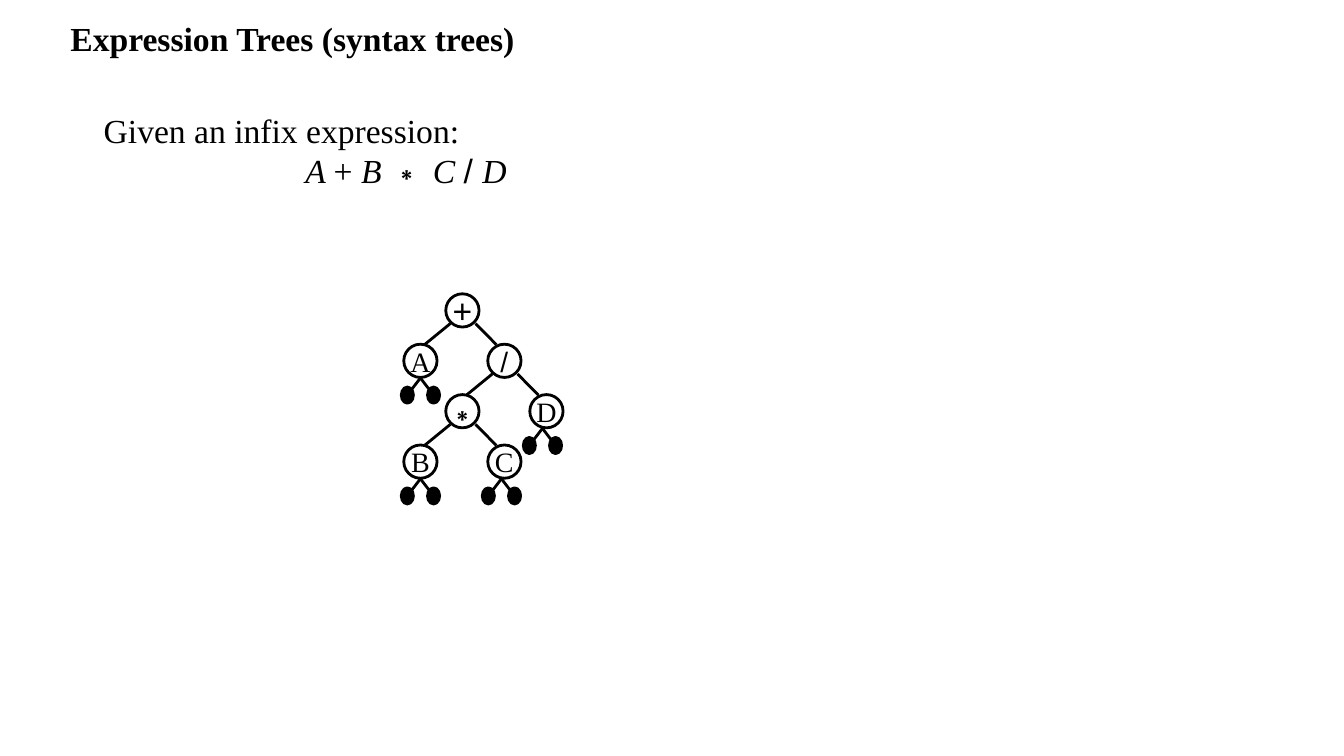
import pptx
import pptx.util
import pptx.dml.color
import pptx.enum.shapes
import pptx.enum.text
import pptx.oxml.ns
import lxml.etree

Inches = pptx.util.Inches
Pt = pptx.util.Pt
SERIF, SANS = "Times New Roman", "Arial"
BLACK = "000000"

TITLE = "Expression Trees (syntax trees)"
INTRO = "Given an infix expression:"
FORMULA = [
    ("A ", SERIF, True), ("+ ", SERIF, False), ("B ", SERIF, True),
    ("∗ ", SANS, False), ("C ", SERIF, True), ("/ ", SANS, False),
    ("D", SERIF, True),
]
# name: (label, column, row, font, size)
NODES = {
    "plus": ("+", 1, 0, SANS, 24),
    "a": ("A", 0, 1, SERIF, 20),
    "divide": ("/", 2, 1, SANS, 20),
    "times": ("∗", 1, 2, SANS, 24),
    "d": ("D", 3, 2, SERIF, 20),
    "b": ("B", 0, 3, SERIF, 20),
    "c": ("C", 2, 3, SERIF, 20),
}
EDGES = [("plus", "a"), ("plus", "divide"), ("divide", "times"),
         ("divide", "d"), ("times", "b"), ("times", "c")]
LEAF_SHIFTS = {"a": 0, "d": -0.04, "b": 0, "c": -0.03}

ROOT_X, ROOT_Y = 4.17, 3.08
COL_STEP, ROW_STEP = 5 / 12, 0.5
NODE_SIZE = 0.33
DOT_W, DOT_H = 0.12, 0.16
LEAF_DX, LEAF_DY = 0.13, 0.17


def color(value):
    return pptx.dml.color.RGBColor.from_string(value)


def add_run(p, text, font=SERIF, size=24, bold=False, italic=False):
    r = p.add_run()
    r.text = text
    r.font.name = font
    r.font.size = Pt(size)
    r.font.bold = bold
    r.font.italic = italic
    r.font.color.rgb = color(BLACK)


def indent(p, inches):
    pPr = p._p.get_or_add_pPr()
    pPr.set("marL", str(Inches(inches)))
    pPr.set("indent", "0")


def add_box(s, x, y, w, h):
    tf = s.shapes.add_textbox(Inches(x), Inches(y), Inches(w), Inches(h)).text_frame
    tf.word_wrap = True
    return tf


def add_ellipse(s, cx, cy, w, h, fill=None):
    sp = s.shapes.add_shape(pptx.enum.shapes.MSO_SHAPE.OVAL, Inches(cx - w / 2),
                            Inches(cy - h / 2), Inches(w), Inches(h))
    sp.shadow.inherit = False
    if fill:
        sp.fill.solid()
        sp.fill.fore_color.rgb = color(fill)
    else:
        sp.fill.background()
    sp.line.color.rgb = color(BLACK)
    sp.line.width = Pt(2)
    return sp


def add_line(s, x1, y1, x2, y2):
    line = s.shapes.add_connector(pptx.enum.shapes.MSO_CONNECTOR.STRAIGHT,
                                  Inches(x1), Inches(y1), Inches(x2), Inches(y2))
    line.line.color.rgb = color(BLACK)
    line.line.width = Pt(2)
    lxml.etree.SubElement(line._element.spPr, pptx.oxml.ns.qn("a:effectLst"))


def center(name):
    label, col, row, font, size = NODES[name]
    return ROOT_X + col * COL_STEP, ROOT_Y + row * ROW_STEP


def add_node(s, name):
    label, col, row, font, size = NODES[name]
    tf = add_ellipse(s, *center(name), NODE_SIZE, NODE_SIZE).text_frame
    tf.word_wrap = False
    tf.vertical_anchor = pptx.enum.text.MSO_ANCHOR.MIDDLE
    p = tf.paragraphs[0]
    p.alignment = pptx.enum.text.PP_ALIGN.CENTER
    add_run(p, label, font=font, size=size)


def add_edge(s, parent, child):
    px, py = center(parent)
    cx, cy = center(child)
    start, end = (-0.12, 0.04) if cx < px else (0.13, -0.08)
    add_line(s, px + start, py + 0.13, cx + end, cy - 0.16)


def add_leaves(s, name, shift):
    x, y = center(name)
    x, y = x + shift, y + 0.17
    for side in (-1, 1):
        dot_x, dot_y = x + side * LEAF_DX, y + LEAF_DY
        add_line(s, x, y, dot_x, dot_y)
        add_ellipse(s, dot_x, dot_y, DOT_W, DOT_H, fill=BLACK)


def main():
    prs = pptx.Presentation()
    prs.slide_width, prs.slide_height = Inches(13.33), Inches(7.5)
    s = prs.slides.add_slide(prs.slide_layouts[6])

    p = add_box(s, 0.52, 0.13, 5.92, 0.5).paragraphs[0]
    indent(p, 0.08)
    add_run(p, TITLE, bold=True)

    tf = add_box(s, 0.85, 1.04, 6.25, 0.9)
    p = tf.paragraphs[0]
    indent(p, 0.08)
    add_run(p, INTRO)
    p = tf.add_paragraph()
    indent(p, 2.08)
    for text, font, italic in FORMULA:
        add_run(p, text, font=font, italic=italic)

    for name in NODES:
        add_node(s, name)
    for parent, child in EDGES:
        add_edge(s, parent, child)
    for name, shift in LEAF_SHIFTS.items():
        add_leaves(s, name, shift)

    prs.save("out.pptx")


if __name__ == "__main__":
    main()
